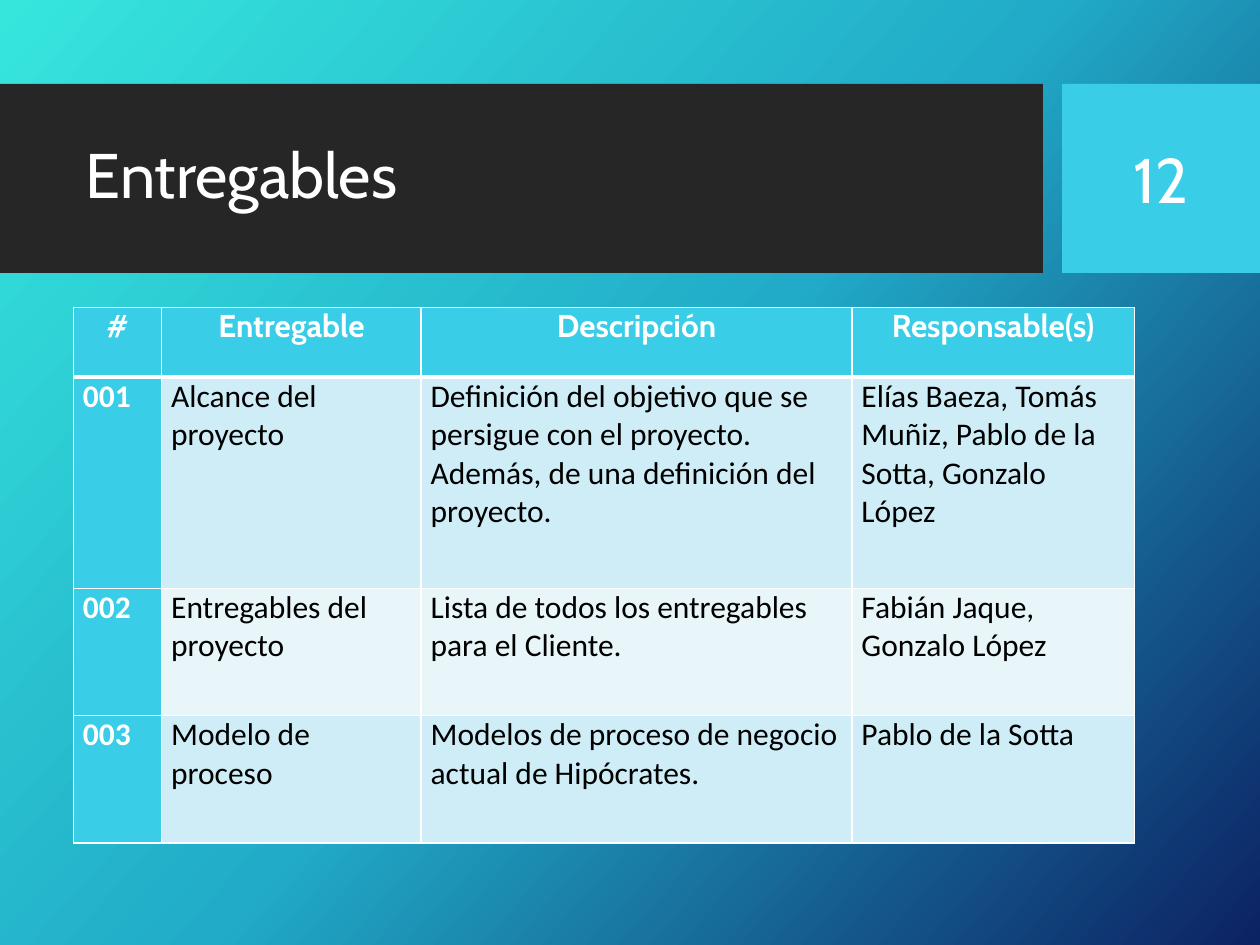
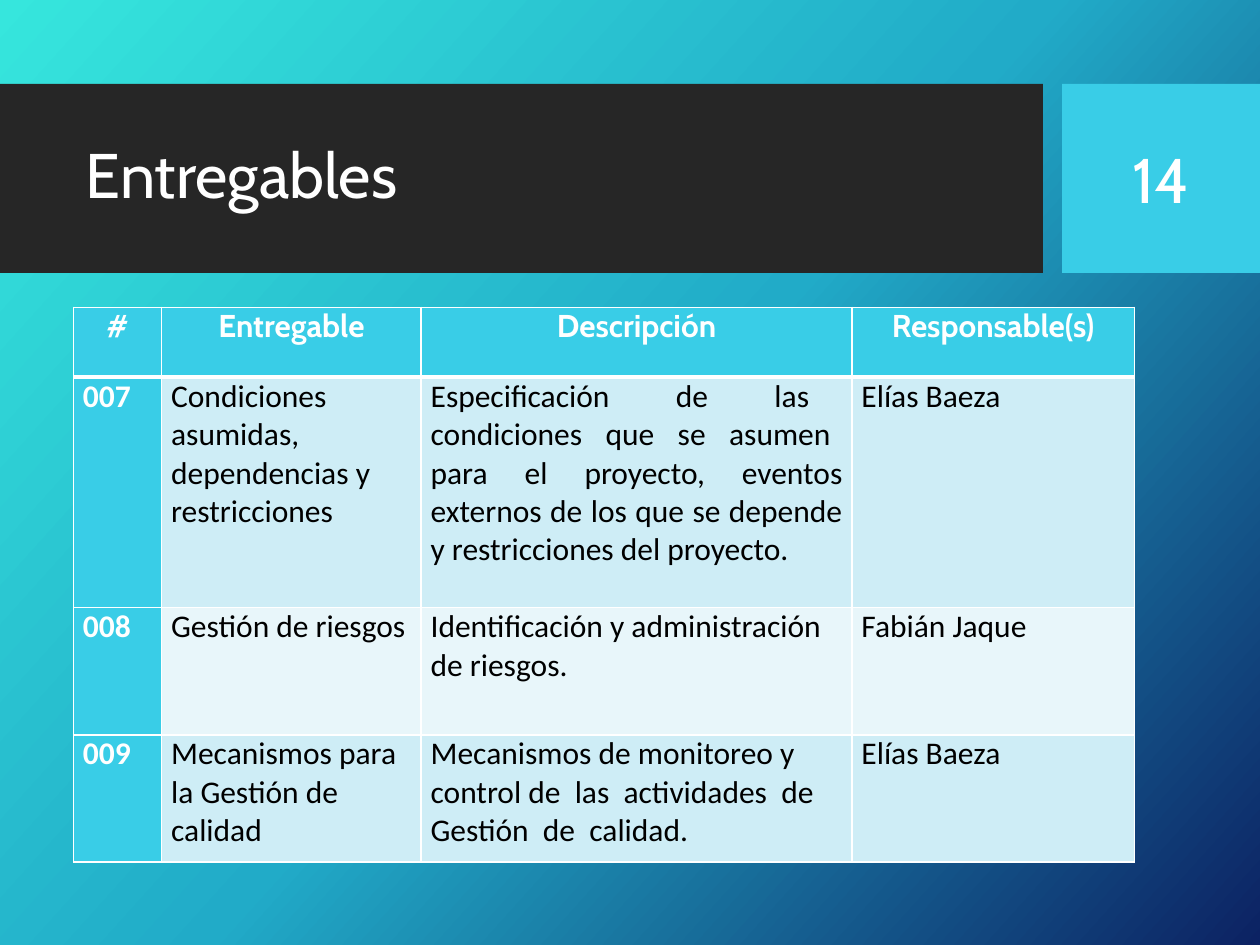
from copy import deepcopy

from lxml import etree
from pptx import Presentation
from pptx.dml.color import RGBColor
from pptx.enum.shapes import MSO_SHAPE
from pptx.enum.text import MSO_ANCHOR, PP_ALIGN
from pptx.oxml.ns import qn
from pptx.util import Pt

RECT = MSO_SHAPE.RECTANGLE
MIDDLE, TOP = MSO_ANCHOR.MIDDLE, MSO_ANCHOR.TOP
LEFT, CENTER, JUSTIFY = PP_ALIGN.LEFT, PP_ALIGN.CENTER, PP_ALIGN.JUSTIFY

COLORS = {
    "white": "FFFFFF", "black": "000000", "band": "262626", "accent": "39CDE7",
    "row_odd": "CEEDF6", "row_even": "E8F6FA",
    "bg_start": "36E6DD", "bg_mid": "21ABC8", "bg_end": "0C2263",
}
BG_STOPS = [(0, "bg_start"), (0.5, "bg_mid"), (1, "bg_end")]
HEAD_FONT, BODY_FONT = "Cabin", "Calibri"

BAND_BOX = (0, 48, 596, 108)
NUMBER_BOX = (607, 48, 113, 108)
TABLE_POS = (42, 175.7)
COL_WIDTHS = [50.4, 148.3, 246.2, 161.3]
HEADERS = ["#", "Entregable", "Descripción", "Responsable(s)"]

SLIDES = [
    {
        "number": "12",
        "row_heights": [39.8, 120.8, 72.7, 72.7],
        "justified": [],
        "rows": [
            ["001", "Alcance del proyecto",
             "Definición del objetivo que se persigue con el proyecto. "
             "Además, de una definición del proyecto.",
             "Elías Baeza, Tomás Muñiz, Pablo de la Sotta, Gonzalo López"],
            ["002", "Entregables del proyecto",
             "Lista de todos los entregables para el Cliente.",
             "Fabián Jaque, Gonzalo López"],
            ["003", "Modelo de proceso",
             "Modelos de proceso de negocio actual de Hipócrates.",
             "Pablo de la Sotta"],
        ],
    },
    {
        "number": "14",
        "row_heights": [39.8, 131.8, 72.7, 72.7],
        "justified": [(1, 2)],
        "rows": [
            ["007", "Condiciones asumidas, dependencias y restricciones",
             "Especificación  de  las  condiciones  que  se  asumen  para  el  "
             "proyecto,  eventos externos de los que se depende y "
             "restricciones del proyecto.",
             "Elías Baeza"],
            ["008", "Gestión de riesgos",
             "Identificación y administración de riesgos.", "Fabián Jaque"],
            ["009", "Mecanismos para la Gestión de calidad",
             "Mecanismos de monitoreo y control de  las  actividades  de  "
             "Gestión  de  calidad.",
             "Elías Baeza"],
        ],
    },
]


def rgb(name):
    """Return the named colour."""
    return RGBColor.from_string(COLORS[name])


def write(tf, text, size=18, font=BODY_FONT, color="white", bold=False,
          align=LEFT, spacing=None):
    """Write one formatted paragraph into a text frame."""
    tf.word_wrap = True
    p = tf.paragraphs[0]
    p.alignment = align
    if spacing:
        p.line_spacing = spacing
    r = p.add_run()
    r.text = text
    r.font.size = Pt(size)
    r.font.name = font
    r.font.bold = bold
    r.font.color.rgb = rgb(color)


def add_background(s):
    """Fill the slide background with the diagonal gradient."""
    fill = s.background.fill
    fill.gradient()
    fill.gradient_angle = 318
    stops = s.element.find(".//" + qn("a:gsLst"))
    stops.append(deepcopy(stops[-1]))
    for stop, (position, color) in zip(fill.gradient_stops, BG_STOPS):
        stop.position = position
        stop.color.rgb = rgb(color)


def add_panel(s, box, color):
    """Add a plain filled rectangle."""
    sp = s.shapes.add_shape(RECT, *map(Pt, box))
    sp.shadow.inherit = False
    sp.fill.solid()
    sp.fill.fore_color.rgb = rgb(color)
    sp.line.fill.background()


def add_label(s, box, text, **fmt):
    """Add a vertically centred heading text box."""
    tf = s.shapes.add_textbox(*map(Pt, box)).text_frame
    tf.vertical_anchor = MIDDLE
    write(tf, text, size=36, font=HEAD_FONT, **fmt)


def add_title_band(s, box, title):
    """Add the dark title band."""
    x, y, w, h = box
    add_panel(s, box, "band")
    add_label(s, (x + 42, y + 11, w - 53, h - 23), title, spacing=0.9)


def add_number_panel(s, box, number):
    """Add the slide number panel."""
    x, y, w, h = box
    add_panel(s, box, "accent")
    add_label(s, (x + 11, y + 11, w - 22, h - 22), number, align=CENTER)


def set_borders(cell, **widths):
    """Draw white cell borders of the given widths, 1 pt by default."""
    tc_pr = cell._tc.get_or_add_tcPr()
    for side in "LRTB":
        width = Pt(widths.get(side, 1))
        ln = etree.SubElement(tc_pr, qn("a:ln" + side), w=str(width))
        fill = etree.SubElement(ln, qn("a:solidFill"))
        etree.SubElement(fill, qn("a:srgbClr"), val=COLORS["white"])


def format_cell(cell, fill, **widths):
    """Set the margins, borders and fill of a cell."""
    cell.margin_left = cell.margin_right = Pt(5.4)
    cell.margin_top = cell.margin_bottom = 0
    cell.vertical_anchor = TOP
    set_borders(cell, **widths)
    cell.fill.solid()
    cell.fill.fore_color.rgb = rgb(fill)


def add_deliverables_table(s, pos, rows, row_heights, justified):
    """Add the table of deliverables below its header row."""
    box = (*pos, sum(COL_WIDTHS), sum(row_heights))
    table = s.shapes.add_table(len(rows) + 1, len(HEADERS), *map(Pt, box)).table
    for col, width in zip(table.columns, COL_WIDTHS):
        col.width = Pt(width)
    for row, height in zip(table.rows, row_heights):
        row.height = Pt(height)
    for j, text in enumerate(HEADERS):
        cell = table.cell(0, j)
        format_cell(cell, "accent", B=3)
        write(cell.text_frame, text, font=HEAD_FONT, bold=True, align=CENTER)
    for i, values in enumerate(rows, 1):
        band = "row_odd" if i % 2 else "row_even"
        for j, text in enumerate(values):
            cell = table.cell(i, j)
            is_id = j == 0
            format_cell(cell, "accent" if is_id else band, T=3 if i == 1 else 1)
            write(cell.text_frame, text, bold=is_id,
                  color="white" if is_id else "black",
                  align=JUSTIFY if (i, j) in justified else LEFT)


def add_deliverables_slide(prs, data):
    """Build one slide of deliverables."""
    s = prs.slides.add_slide(prs.slide_layouts[6])
    add_background(s)
    add_title_band(s, BAND_BOX, "Entregables")
    add_number_panel(s, NUMBER_BOX, data["number"])
    add_deliverables_table(s, TABLE_POS, data["rows"], data["row_heights"],
                           data["justified"])


def main():
    """Build and save the presentation."""
    prs = Presentation()
    prs.slide_width, prs.slide_height = Pt(720), Pt(540)
    for data in SLIDES:
        add_deliverables_slide(prs, data)
    prs.save("out.pptx")


if __name__ == "__main__":
    main()
